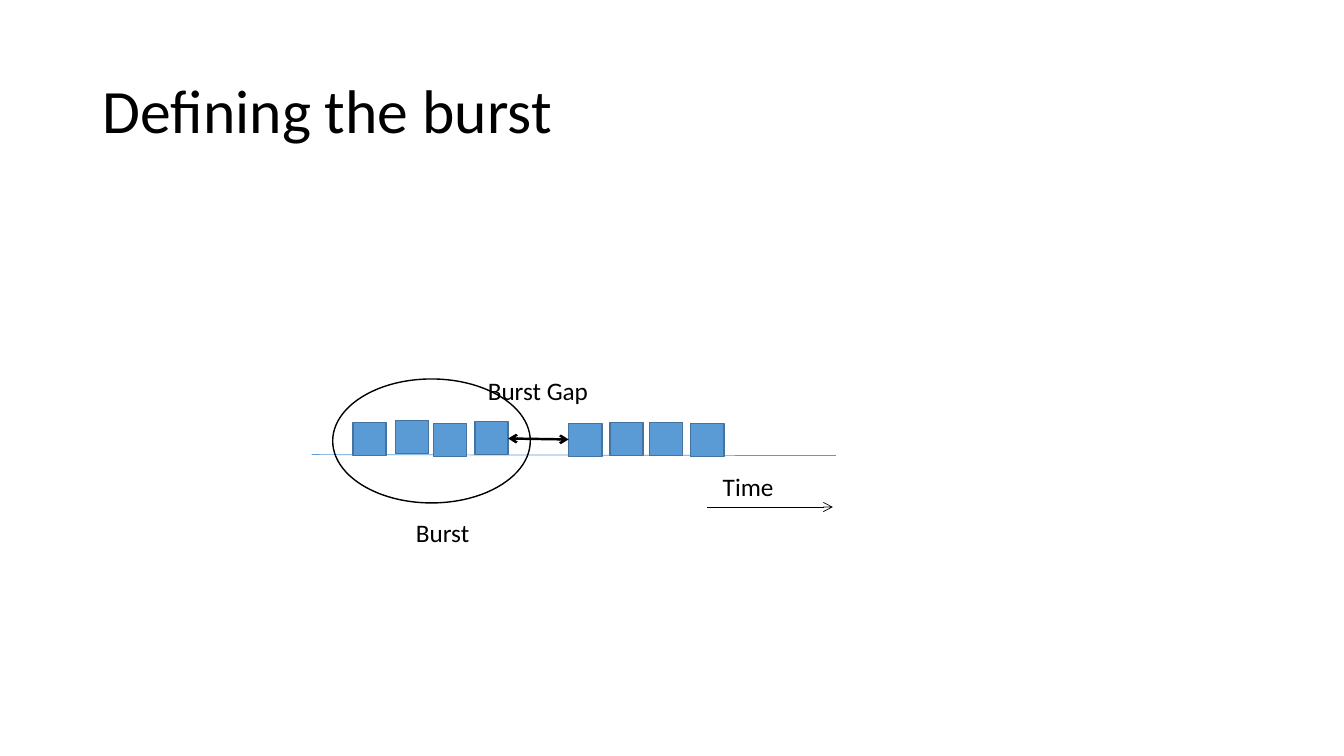
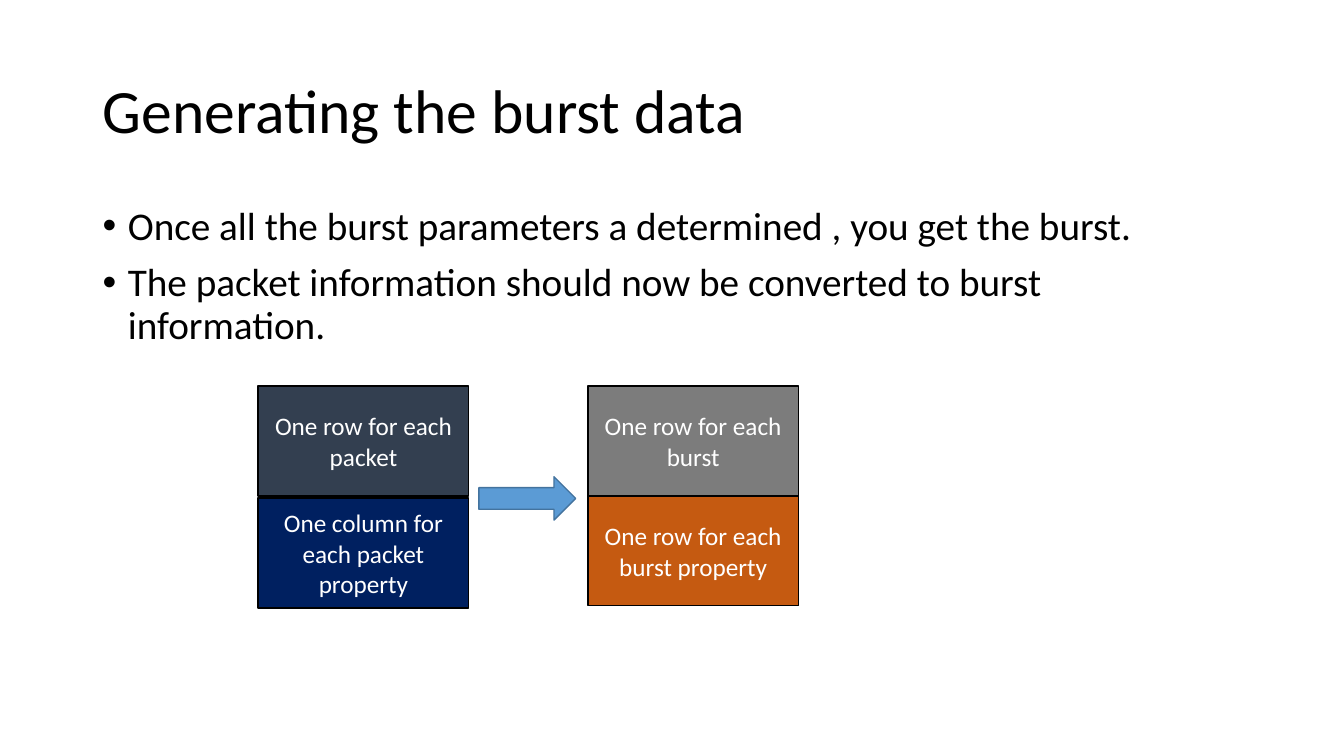
from dataclasses import dataclass

from lxml.etree import SubElement
from pptx import Presentation
from pptx.dml.color import RGBColor
from pptx.enum.shapes import MSO_CONNECTOR, MSO_SHAPE
from pptx.enum.text import MSO_ANCHOR, PP_ALIGN
from pptx.oxml.ns import qn
from pptx.util import Pt

EMU_PER_PX = 9144


@dataclass(frozen=True)
class Theme:
    font: str = "Calibri"
    title_size: int = 44
    body_size: int = 28
    label_size: int = 18
    black: str = "000000"
    white: str = "FFFFFF"
    blue: str = "5B9BD5"
    blue_edge: str = "43739E"
    slate: str = "333F50"
    navy: str = "002060"
    gray: str = "7C7C7C"
    orange: str = "C55A11"


THEME = Theme()


def px(*lengths):
    return [length * EMU_PER_PX for length in lengths]


def write_text(frame, text, size=THEME.label_size, color=THEME.black,
               align=PP_ALIGN.LEFT, anchor=MSO_ANCHOR.TOP,
               line_spacing=1.0, space_before=0, bullet=None):
    frame.word_wrap = True
    frame.vertical_anchor = anchor
    frame.text = text
    for paragraph in frame.paragraphs:
        paragraph.alignment = align
        paragraph.line_spacing = line_spacing
        paragraph.space_before = Pt(space_before)
        paragraph.font.name = THEME.font
        paragraph.font.size = Pt(size)
        paragraph.font.color.rgb = RGBColor.from_string(color)
        for run in paragraph.runs:
            run.font.name = THEME.font
            run.font.size = Pt(size)
            run.font.color.rgb = RGBColor.from_string(color)
        if bullet:
            indent, = px(25)
            properties = paragraph._p.get_or_add_pPr()
            properties.set("marL", str(indent))
            properties.set("indent", str(-indent))
            font = SubElement(properties, qn("a:buFont"))
            font.set("typeface", "Arial")
            SubElement(properties, qn("a:buChar")).set("char", bullet)
            default_run = properties.find(qn("a:defRPr"))
            if default_run is not None:
                properties.append(default_run)


class Deck:
    def __init__(self, width, height):
        self.presentation = Presentation()
        self.presentation.slide_width, self.presentation.slide_height = px(width, height)
        self.slide = None

    def add_slide(self, title):
        self.slide = self.presentation.slides.add_slide(self.presentation.slide_layouts[6])
        self.text(title, 92, 40, 1150, 145, size=THEME.title_size,
                  anchor=MSO_ANCHOR.MIDDLE, line_spacing=0.9)

    def text(self, text, left, top, width, height, **text_format):
        box = self.slide.shapes.add_textbox(*px(left, top, width, height))
        write_text(box.text_frame, text, **text_format)

    def bullets(self, items, left, top, width, height):
        self.text("\n".join(items), left, top, width, height, size=THEME.body_size,
                  line_spacing=0.9, space_before=10, bullet="•")

    def shape(self, kind, left, top, width, height, fill=None, edge=THEME.black, text=None):
        shape = self.slide.shapes.add_shape(kind, *px(left, top, width, height))
        shape.shadow.inherit = False
        if fill:
            shape.fill.solid()
            shape.fill.fore_color.rgb = RGBColor.from_string(fill)
        else:
            shape.fill.background()
        shape.line.color.rgb = RGBColor.from_string(edge)
        shape.line.width = Pt(1)
        if text:
            write_text(shape.text_frame, text, color=THEME.white,
                       align=PP_ALIGN.CENTER, anchor=MSO_ANCHOR.MIDDLE)

    def line(self, start, end, color=THEME.black, weight=0.5, arrows=()):
        connector = self.slide.shapes.add_connector(MSO_CONNECTOR.STRAIGHT, *px(*start, *end))
        connector.line.color.rgb = RGBColor.from_string(color)
        connector.line.width = Pt(weight)
        properties = connector.element.spPr
        outline = properties.find(qn("a:ln"))
        for arrow in arrows:
            SubElement(outline, qn(f"a:{arrow}")).set("type", "arrow")
        SubElement(properties, qn("a:effectLst"))

    def save(self):
        self.presentation.save("out.pptx")


def build_burst_definition(deck):
    deck.add_slide("Defining the burst")
    deck.line((309, 451), (829, 452), color=THEME.blue)
    packets = [(350, 419), (392, 417), (430, 420), (471, 418),
               (564, 420), (605, 419), (644, 419), (685, 420)]
    for left, top in packets:
        deck.shape(MSO_SHAPE.RECTANGLE, left, top, 33, 33, THEME.blue, THEME.blue_edge)
    deck.shape(MSO_SHAPE.OVAL, 330, 376, 196, 123)
    deck.text("Burst", 346, 508, 186, 40, align=PP_ALIGN.CENTER)
    deck.line((504, 435), (564, 436), weight=1.75, arrows=("headEnd", "tailEnd"))
    deck.text("Burst Gap", 474, 367, 146, 40)
    deck.line((701, 503), (826, 503), arrows=("tailEnd",))
    deck.text("Time", 707, 463, 123, 40)


def build_burst_data(deck):
    deck.add_slide("Generating the burst data")
    deck.bullets(["Once all the burst parameters a determined , you get the burst.",
                  "The packet information should now be converted to burst information."],
                 92, 200, 1150, 476)
    blocks = [(256, 383, THEME.slate, "One row for each packet"),
              (256, 494, THEME.navy, "One column for each packet property"),
              (583, 492, THEME.orange, "One row for each burst property"),
              (583, 383, THEME.gray, "One row for each burst")]
    for left, top, fill, text in blocks:
        deck.shape(MSO_SHAPE.RECTANGLE, left, top, 209, 109, fill, text=text)
    deck.shape(MSO_SHAPE.RIGHT_ARROW, 475, 473, 96, 43, THEME.blue, THEME.blue_edge)


def main():
    deck = Deck(1333, 750)
    build_burst_definition(deck)
    build_burst_data(deck)
    deck.save()


if __name__ == "__main__":
    main()
